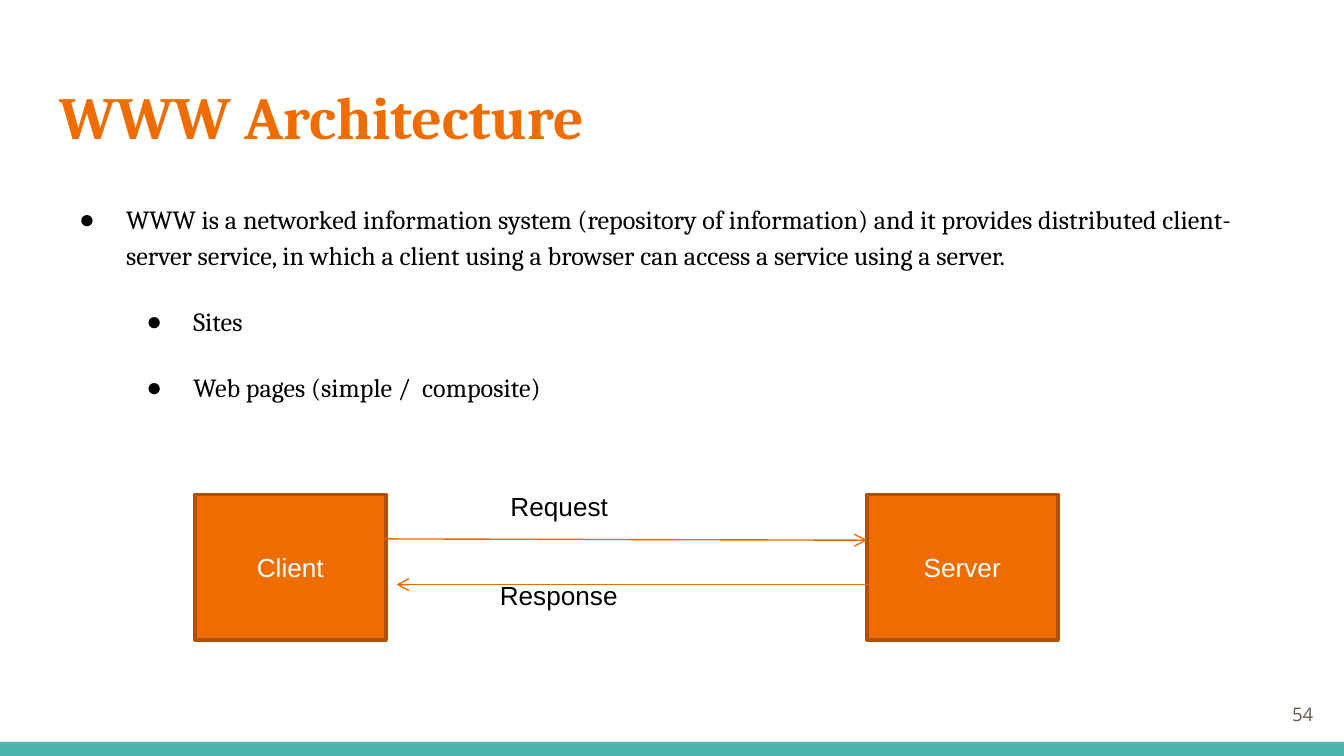
from lxml.etree import SubElement
from pptx import Presentation
from pptx.dml.color import RGBColor
from pptx.enum.shapes import MSO_CONNECTOR, MSO_SHAPE
from pptx.enum.text import MSO_ANCHOR, PP_ALIGN
from pptx.oxml.ns import qn
from pptx.util import Inches, Pt

ORANGE = RGBColor(0xEF, 0x6C, 0x00)
DARK_ORANGE = RGBColor(0xB1, 0x50, 0x00)
ARROW_ORANGE = RGBColor(0xEA, 0x6A, 0x00)
TEAL = RGBColor(0x4D, 0xB6, 0xAC)
BROWN = RGBColor(0x69, 0x5D, 0x46)
BLACK = RGBColor(0, 0, 0)
WHITE = RGBColor(0xFF, 0xFF, 0xFF)

# Content
TITLE = "WWW Architecture"
PAGE_NUMBER = "54"
POINTS = [  # level, text
    (0, "WWW is a networked information system (repository of information) "
        "and it provides distributed client-server service, in which a client "
        "using a browser can access a service using a server."),
    (1, "Sites"),
    (1, "Web pages (simple /  composite)"),
]
NODES = [("Client", 1.45), ("Server", 6.45)]  # label, left
NODE_TOP, NODE_WIDTH, NODE_HEIGHT = 3.68, 1.42, 1.08
MESSAGES = [  # label, label box, arrow start, arrow end
    ("Request", (3.7, 3.6, 1.67, 0.4), (2.87, 4.01), (6.45, 4.02)),
    ("Response", (3.62, 4.26, 1.42, 0.4), (6.54, 4.35), (2.95, 4.35)),
]


def add_run(paragraph, text, size, font, color, bold=False):
    run = paragraph.add_run()
    run.text = text
    run.font.size = Pt(size)
    run.font.name = font
    run.font.bold = bold
    run.font.color.rgb = color


def set_frame(frame, anchor=MSO_ANCHOR.TOP, inset=0.1):
    frame.word_wrap = True
    frame.vertical_anchor = anchor
    frame.margin_left = frame.margin_right = Inches(0.1)
    frame.margin_top = frame.margin_bottom = Inches(inset)


def add_text_box(box, **frame_options):
    frame = slide.shapes.add_textbox(*map(Inches, box)).text_frame
    set_frame(frame, **frame_options)
    return frame


def add_rectangle(box, fill):
    rectangle = slide.shapes.add_shape(MSO_SHAPE.RECTANGLE, *map(Inches, box))
    rectangle.shadow.inherit = False
    rectangle.fill.solid()
    rectangle.fill.fore_color.rgb = fill
    return rectangle


def add_bullet(paragraph, level):
    properties = paragraph._p.get_or_add_pPr()
    properties.set("marL", str(Inches(0.5 * (level + 1))))
    properties.set("indent", str(Inches(-0.35)))
    color = SubElement(properties, qn("a:buClr"))
    SubElement(color, qn("a:srgbClr"), val=str(BLACK))
    SubElement(properties, qn("a:buFont"), typeface="Arial")
    SubElement(properties, qn("a:buChar"), char="●")


def add_arrow(start, end):
    arrow = slide.shapes.add_connector(
        MSO_CONNECTOR.STRAIGHT, *map(Inches, start + end))
    arrow.line.color.rgb = ARROW_ORANGE
    arrow.line.width = Pt(0.75)
    SubElement(arrow.line._get_or_add_ln(), qn("a:tailEnd"), type="arrow")
    SubElement(arrow._element.spPr, qn("a:effectLst"))


prs = Presentation()
prs.slide_width = Inches(10)
prs.slide_height = prs.slide_width * 9 // 16
slide = prs.slides.add_slide(prs.slide_layouts[5])

# Footer band
add_rectangle((0, 5.52, 10, 0.11), TEAL).line.fill.background()

# Title
title = slide.shapes.title
title.left, title.top, title.width, title.height = map(
    Inches, (0.34, 0.49, 9.32, 0.77))
set_frame(title.text_frame)
heading = title.text_frame.paragraphs[0]
heading.alignment = PP_ALIGN.LEFT
add_run(heading, TITLE, 32, "Cambria", ORANGE, bold=True)

# Bullet points
points_frame = add_text_box((0.34, 1.38, 9.32, 3.61))
for index, (level, text) in enumerate(POINTS):
    point = points_frame.add_paragraph() if index else points_frame.paragraphs[0]
    point.level = level
    add_bullet(point, level)
    point.line_spacing = 1.15
    if index:
        point.space_before = Pt(16)
    add_run(point, text, 14, "Cambria", BLACK)

# Page number
number = add_text_box((9.27, 5.1, 0.6, 0.43),
                      anchor=MSO_ANCHOR.MIDDLE).paragraphs[0]
number.alignment = PP_ALIGN.RIGHT
add_run(number, PAGE_NUMBER, 10, "Open Sans", BROWN)

# Client and server
for label, left in NODES:
    node = add_rectangle((left, NODE_TOP, NODE_WIDTH, NODE_HEIGHT), ORANGE)
    node.line.color.rgb = DARK_ORANGE
    node.line.width = Pt(2)
    set_frame(node.text_frame, anchor=MSO_ANCHOR.MIDDLE, inset=0.05)
    caption = node.text_frame.paragraphs[0]
    caption.alignment = PP_ALIGN.CENTER
    add_run(caption, label, 14, "Arial", WHITE)

# Messages between them
for label, box, start, end in MESSAGES:
    add_arrow(start, end)
    message = add_text_box(box, inset=0.05).paragraphs[0]
    add_run(message, label, 14, "Arial", BLACK)

prs.save("out.pptx")
